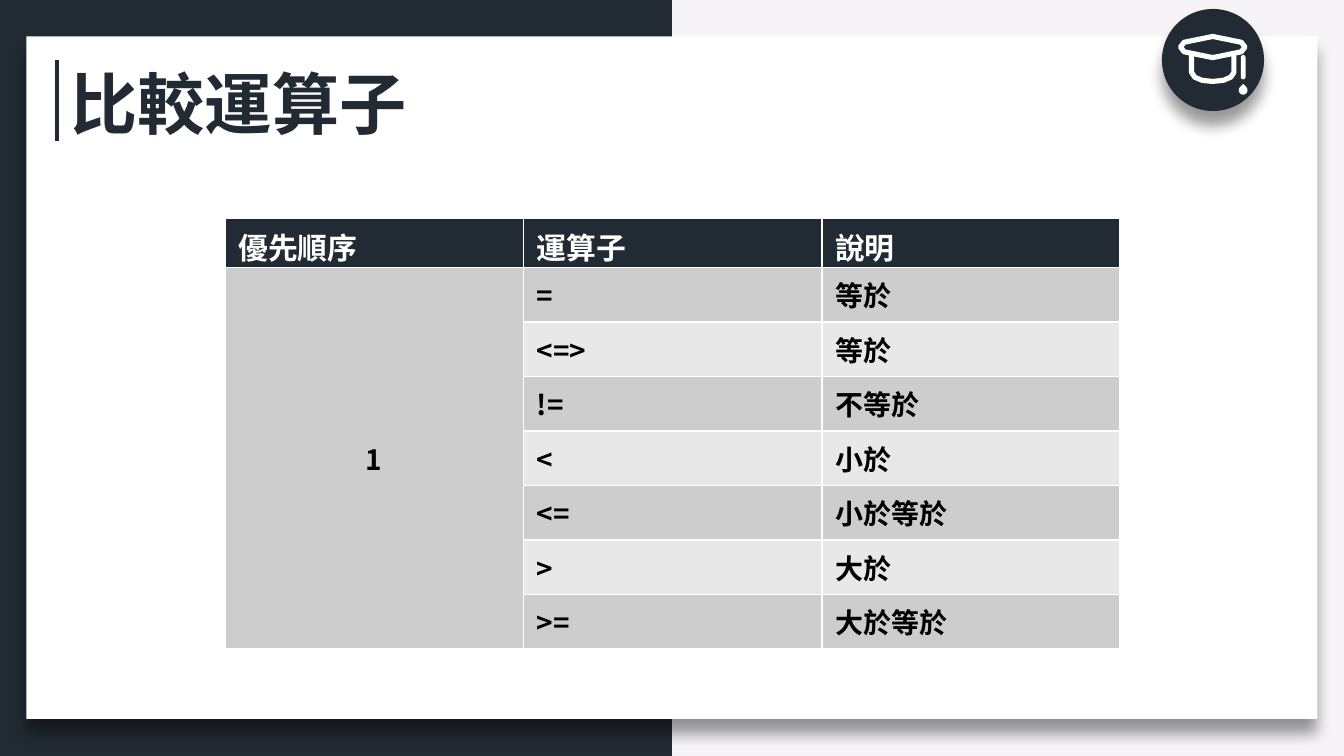
import pptx
import pptx.dml.color
import pptx.enum.shapes
import pptx.enum.text
import pptx.oxml
import pptx.oxml.ns
import pptx.util
from dataclasses import dataclass

Cm, Pt = pptx.util.Cm, pptx.util.Pt
kinds = pptx.enum.shapes.MSO_SHAPE


@dataclass(frozen=True)
class Theme:
    dark: str = "222B34"
    pale: str = "F6F4F7"
    white: str = "FFFFFF"
    black: str = "000000"
    odd: str = "CDCDCE"
    even: str = "E8E8E8"
    face: str = "Noto Sans CJK SC"
    title: int = 36
    head: int = 16
    body: int = 15


theme = Theme()
rgb = pptx.dml.color.RGBColor.from_string
ns = pptx.oxml.ns.nsdecls("a")
shade = (f'<a:effectLst {ns}><a:outerShdw blurRad="101600" dist="101600" '
         'dir="5400000" algn="t" rotWithShape="0"><a:srgbClr val="000000">'
         '<a:alpha val="40000"/></a:srgbClr></a:outerShdw></a:effectLst>')


def style(frame, size, color, align="LEFT"):
    """Format the single paragraph of a text frame."""
    para = frame.paragraphs[0]
    para.alignment = getattr(pptx.enum.text.PP_ALIGN, align)
    font = para.runs[0].font
    look = {"name": theme.face, "size": Pt(size), "bold": True}
    for key, value in look.items():
        setattr(font, key, value)
    font.color.rgb = rgb(color)
    font._element.append(
        pptx.oxml.parse_xml(f'<a:ea {ns} typeface="{theme.face}"/>'))


def block(kind, box, color, lift=False):
    """Add a borderless shape, with a drop shadow when lifted."""
    shape = slide.shapes.add_shape(kind, *map(Cm, box))
    shape.fill.solid()
    shape.fill.fore_color.rgb = rgb(color)
    shape.line.fill.background()
    if lift:
        shape._element.spPr.append(pptx.oxml.parse_xml(shade))
    else:
        shape.shadow.inherit = False
    return shape


deck = pptx.Presentation()
deck.slide_width, deck.slide_height = Cm(25.4), Cm(14.29)
slide = deck.slides.add_slide(deck.slide_layouts[5])
slide.background.fill.solid()
slide.background.fill.fore_color.rgb = rgb(theme.pale)

# Dark half and white card
block(kinds.RECTANGLE, (0, 0, 12.7, 14.29), theme.dark)
block(kinds.RECTANGLE, (0.5, 0.69, 24.4, 12.9), theme.white, lift=True)

# Rule beside the title
rule = slide.shapes.add_connector(
    pptx.enum.shapes.MSO_CONNECTOR.STRAIGHT,
    Cm(1.08), Cm(1.14), Cm(1.08), Cm(2.66))
rule.line.width = Pt(2.25)
rule.line.color.rgb = rgb(theme.dark)
rule._element.spPr.append(pptx.oxml.parse_xml(f"<a:effectLst {ns}/>"))

# Badge with a graduation cap, mirrored about its middle
block(kinds.OVAL, (21.96, 0.17, 1.93, 1.93), theme.dark, lift=True)
mid = 22.92
board = [(0, 0.69), (0.54, 0.8), (0.61, 0.89), (0.54, 0.98), (0, 1.09)]
bowl = [(0.4, 1.04), (0.4, 1.37), (0.34, 1.46), (0.2, 1.52), (0, 1.54)]
for half, close in ((board, True), (bowl, False)):
    full = half + [(-x, y) for x, y in half[-2::-1]]
    dots = [(Cm(mid + x), Cm(y)) for x, y in full]
    path = slide.shapes.build_freeform(*dots[0], scale=1.0)
    path.add_line_segments(dots[1:], close=close)
    part = path.convert_to_shape()
    part.fill.background()
    part.line.width = Pt(2.75)
    part.line.color.rgb = rgb(theme.white)
    part.shadow.inherit = False

# Tassel
cord = block(kinds.ROUNDED_RECTANGLE, (23.45, 1.04, 0.09, 0.46), theme.white)
cord.adjustments[0] = 0.5
drop = block(kinds.TEAR, (23.41, 1.62, 0.17, 0.17), theme.white)
drop.rotation = 315

# Title, brought in front of the card
title = slide.shapes.title
place = {"left": Cm(1.08), "top": Cm(1.04),
         "width": Cm(6.93), "height": Cm(1.8)}
for key, value in place.items():
    setattr(title, key, value)
frame = title.text_frame
frame.text = "比較運算子"
setup = {"word_wrap": False,
         "auto_size": pptx.enum.text.MSO_AUTO_SIZE.SHAPE_TO_FIT_TEXT,
         "vertical_anchor": pptx.enum.text.MSO_ANCHOR.MIDDLE}
for key, value in setup.items():
    setattr(frame, key, value)
style(frame, theme.title, theme.dark)
slide.shapes._spTree.append(title._element)

# Operator table
rows = [
    ("優先順序", "運算子", "說明"),
    ("1", "=", "等於"),
    ("", "<=>", "等於"),
    ("", "!=", "不等於"),
    ("", "<", "小於"),
    ("", "<=", "小於等於"),
    ("", ">", "大於"),
    ("", ">=", "大於等於"),
]
table = slide.shapes.add_table(
    len(rows), 3, Cm(4.25), Cm(4.12), Cm(16.92), Cm(8.15)).table
table.horz_banding = False
for col in table.columns:
    col.width = Cm(5.64)
table.cell(1, 0).merge(table.cell(len(rows) - 1, 0))
for i, row in enumerate(rows):
    head = i == 0
    table.rows[i].height = Cm(0.94 if head else 1.03)
    tint = theme.dark if head else theme.odd if i % 2 else theme.even
    for j, text in enumerate(row):
        cell = table.cell(i, j)
        cell.fill.solid()
        cell.fill.fore_color.rgb = rgb(tint)
        if head:
            cell.margin_bottom = 0
        if text:
            cell.text = text
            style(cell.text_frame, theme.head if head else theme.body,
                  theme.white if head else theme.black,
                  "CENTER" if text == "1" else "LEFT")
table.cell(1, 0).vertical_anchor = pptx.enum.text.MSO_ANCHOR.MIDDLE

deck.save("out.pptx")
